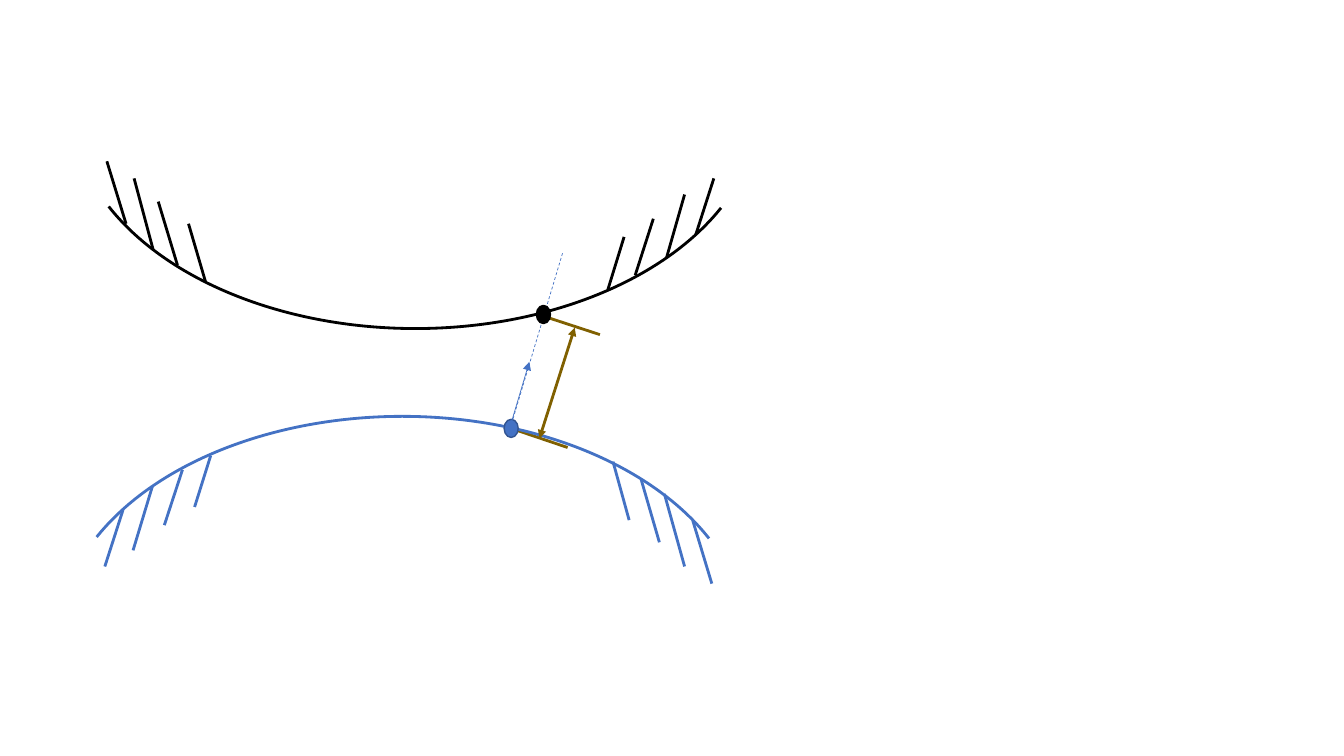
from dataclasses import dataclass
from lxml.etree import SubElement
from pptx import Presentation
from pptx.dml.color import RGBColor
from pptx.enum.dml import MSO_LINE
from pptx.enum.shapes import MSO_CONNECTOR, MSO_SHAPE
from pptx.oxml.ns import qn
from pptx.util import Inches, Pt


@dataclass(frozen=True)
class Theme:
    black: str = "000000"
    blue: str = "4472C4"
    dark_blue: str = "325491"
    gold: str = "806000"
    thick: float = 2
    medium: float = 1
    thin: float = 0.5


theme = Theme()


def add_line(shapes, start, end, color, width=theme.thick, dash=None, arrows=()):
    connector = shapes.add_connector(
        MSO_CONNECTOR.STRAIGHT, *(Inches(value) for value in (*start, *end))
    )
    connector.line.color.rgb = RGBColor.from_string(color)
    connector.line.width = Pt(width)
    if dash:
        connector.line.dash_style = dash
    for arrow in arrows:
        SubElement(connector.line._get_or_add_ln(), qn(f"a:{arrow}"), type="triangle")
    SubElement(connector._element.spPr, qn("a:effectLst"))


def add_outline(shapes, kind, box, color, width, fill=None):
    shape = shapes.add_shape(kind, *(Inches(value) for value in box))
    shape.shadow.inherit = False
    if fill:
        shape.fill.solid()
        shape.fill.fore_color.rgb = RGBColor.from_string(fill)
    else:
        shape.fill.background()
    shape.line.color.rgb = RGBColor.from_string(color)
    shape.line.width = Pt(width)
    return shape


presentation = Presentation()
presentation.slide_width = Inches(13.33)
presentation.slide_height = Inches(7.5)
slide = presentation.slides.add_slide(presentation.slide_layouts[6])

for start, end in [((5.07, 4.25), (5.63, 4.44)), ((5.4, 3.14), (5.95, 3.32))]:
    add_line(slide.shapes, start, end, theme.gold)

upper_hatches = [
    ((1.25, 2.22), (1.06, 1.6)),
    ((1.52, 2.48), (1.33, 1.77)),
    ((1.76, 2.63), (1.57, 2)),
    ((2.04, 2.8), (1.87, 2.22)),
    ((6.9, 2.33), (7.08, 1.77)),
    ((6.61, 2.56), (6.79, 1.93)),
    ((6.3, 2.73), (6.48, 2.17)),
    ((6.03, 2.87), (6.19, 2.35)),
]
lower_hatches = [
    ((6.87, 5.16), (7.06, 5.79)),
    ((6.59, 4.9), (6.79, 5.62)),
    ((6.36, 4.76), (6.54, 5.38)),
    ((6.08, 4.58), (6.24, 5.16)),
    ((1.22, 5.06), (1.04, 5.62)),
    ((1.51, 4.83), (1.32, 5.46)),
    ((1.81, 4.66), (1.63, 5.21)),
    ((2.09, 4.52), (1.93, 5.03)),
]
surfaces = [
    ((1.89, -2.39), 90, theme.black, upper_hatches),
    ((1.76, 2.94), 270, theme.blue, lower_hatches),
]
for corner, rotation, color, hatches in surfaces:
    surface = slide.shapes.add_group_shape()
    arc = add_outline(surface.shapes, MSO_SHAPE.ARC, (*corner, 4.46, 6.84), color, theme.thick)
    arc.adjustments[0] = 173.29
    arc.adjustments[1] = 42.89
    arc.rotation = rotation
    for start, end in hatches:
        add_line(surface.shapes, start, end, color)

point_size = (0.14, 0.18)
add_outline(slide.shapes, MSO_SHAPE.FLOWCHART_CONNECTOR, (5, 4.16, *point_size),
            theme.dark_blue, theme.medium, fill=theme.blue)
add_line(slide.shapes, (5.06, 4.23), (5.25, 3.59), theme.blue, theme.thin, arrows=["tailEnd"])
add_line(slide.shapes, (5.06, 4.25), (5.58, 2.51), theme.blue, theme.thin, dash=MSO_LINE.DASH)
add_outline(slide.shapes, MSO_SHAPE.FLOWCHART_CONNECTOR, (5.32, 3.03, *point_size),
            theme.black, theme.medium, fill=theme.black)
add_line(slide.shapes, (5.7, 3.25), (5.35, 4.35), theme.gold, arrows=["headEnd", "tailEnd"])

presentation.save("out.pptx")
